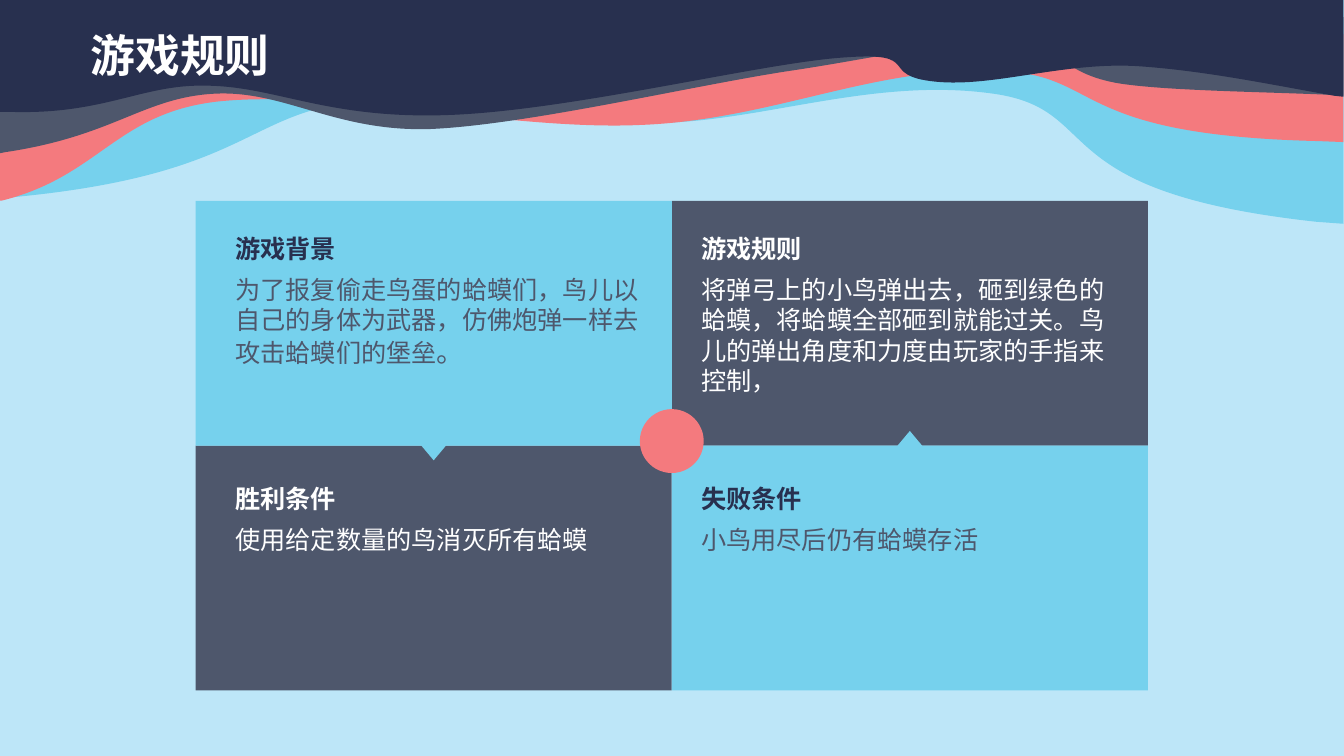
from pptx import Presentation
from pptx.util import Cm, Pt
from pptx.dml.color import RGBColor
from pptx.enum import shapes as kinds
from pptx.oxml.ns import qn

NAVY, SLATE, CORAL, SKY, PALE, WHITE = "28304F", "4E576C", "F47A7E", "76D1ED", "BDE6F8", "FFFFFF"
SANS, BODY = "Noto Sans CJK SC", "Karla"

deck = Presentation()
deck.slide_width, deck.slide_height = Cm(33.87), Cm(19.05)
slide = deck.slides.add_slide(deck.slide_layouts[6])


def paint(item, color):
    item.fill.solid()
    item.fill.fore_color.rgb = RGBColor.from_string(color)
    if hasattr(item, "shadow"):
        item.shadow.inherit = False
        item.line.fill.background()


def write(x, y, wide, high, words, size, font, color, bold=False):
    box = slide.shapes.add_textbox(Cm(x), Cm(y), Cm(wide), Cm(high))
    box.text_frame.word_wrap = True
    par = box.text_frame.paragraphs[0]
    par.add_run().text = words
    par.font.size, par.font.name, par.font.bold = Pt(size), font, bold
    paint(par.font, color)
    return par


paint(slide.background, PALE)

waves = [
    (SKY, [(0, 0), (1333, 0), (1333, 222), (1306, 220),
           (1031, 190, 1098, 109, 986, 93), (867, 76, 756, 121, 651, 122),
           (545, 124, 473, 88, 352, 101), (246, 113, 243, 171, 29, 194), (0, 197)]),
    (CORAL, [(0, 25), (1330, 25), (1333, 35), (1333, 141), (1308, 140),
             (1054, 134, 1097, 72, 984, 70), (863, 67, 765, 119, 636, 124),
             (508, 130, 327, 88, 214, 101), (115, 113, 98, 175, 2, 199), (0, 199)]),
    (SLATE, [(0, 152), (5, 151), (113, 135, 142, 97, 212, 93),
             (282, 89, 332, 131, 427, 128), (521, 124, 683, 86, 779, 71),
             (874, 57, 944, 39, 1000, 41), (1055, 43, 1049, 73, 1112, 83),
             (1159, 90, 1249, 91, 1318, 94), (1333, 95), (1333, 17), (0, 17)]),
    (NAVY, [(448, 114), (570, 109, 758, 62, 838, 57), (918, 51, 869, 75, 928, 81),
            (987, 87, 1058, 60, 1134, 66), (1200, 71, 1261, 84, 1324, 95),
            (1333, 96), (1333, 0), (0, 0), (0, 111), (10, 111),
            (105, 114, 141, 83, 206, 85), (275, 86, 326, 119, 448, 114)]),
]
for color, parts in waves:
    dots = [part[k:k + 2] for part in parts for k in range(0, len(part), 2)]
    pen = slide.shapes.build_freeform(*dots[0], scale=Cm(2.54) / 100)
    pen.add_line_segments(dots[1:], close=True)
    wave = pen.convert_to_shape()
    paint(wave, color)
    lines = iter(wave.element.xpath(".//a:lnTo"))
    for part in parts[1:]:
        line = next(lines)
        if len(part) == 6:
            line.tag = qn("a:cubicBezTo")
            for rest in (next(lines), next(lines)):
                line.append(rest[0])
                rest.getparent().remove(rest)

write(2.03, 0.58, 14.91, 1.63, "游戏规则", 32, SANS, WHITE, True)

LEFT, TOP, WIDE, HIGH = 4.93, 5.06, 12, 6.17
MIDX, MIDY = LEFT + WIDE, TOP + HIGH
for x, y in [(MIDX, TOP), (LEFT, MIDY)]:
    paint(slide.shapes.add_shape(kinds.MSO_SHAPE.RECTANGLE, Cm(x), Cm(y), Cm(WIDE), Cm(HIGH)), SLATE)

for x, far, tip in [(MIDX, MIDY + HIGH, -0.37), (LEFT, TOP, 0.37)]:
    mid = x + WIDE / 2
    edge = [(x, far), (x, MIDY), (mid - 0.31, MIDY), (mid, MIDY + tip),
            (mid + 0.31, MIDY), (x + WIDE, MIDY), (x + WIDE, far)]
    edge = [(Cm(a), Cm(b)) for a, b in edge]
    pen = slide.shapes.build_freeform(*edge[0])
    pen.add_line_segments(edge[1:], close=True)
    paint(pen.convert_to_shape(), SKY)

SPAN = 1.61
paint(slide.shapes.add_shape(kinds.MSO_SHAPE.OVAL, Cm(MIDX - SPAN / 2), Cm(MIDY - 0.92),
                             Cm(SPAN), Cm(SPAN)), CORAL)

cards = [
    (5.68, 5.76, NAVY, SLATE, "游戏背景", "为了报复偷走鸟蛋的蛤蟆们，鸟儿以自己的身体为武器，仿佛炮弹一样去攻击蛤蟆们的堡垒", "。"),
    (5.68, 12.05, WHITE, WHITE, "胜利条件", "使用给定数量的鸟消灭所有蛤蟆", ""),
    (17.42, 5.76, WHITE, WHITE, "游戏规则", "将弹弓上的小鸟弹出去，砸到绿色的蛤蟆，将蛤蟆全部砸到就能过关。鸟儿的弹出角度和力度由玩家的手指来控制，", ""),
    (17.42, 12.05, NAVY, SLATE, "失败条件", "小鸟用尽后仍有蛤蟆存活", ""),
]
for x, y, dark, tone, head, words, stop in cards:
    write(x, y, 9.91, 1.02, head, 18, SANS, dark, True)
    par = write(x, y + 1.03, 10.67, 2.64, words, 18, BODY, tone)
    if stop:
        run = par.add_run()
        run.text, run.font.size = stop, Pt(20)

deck.save("out.pptx")
